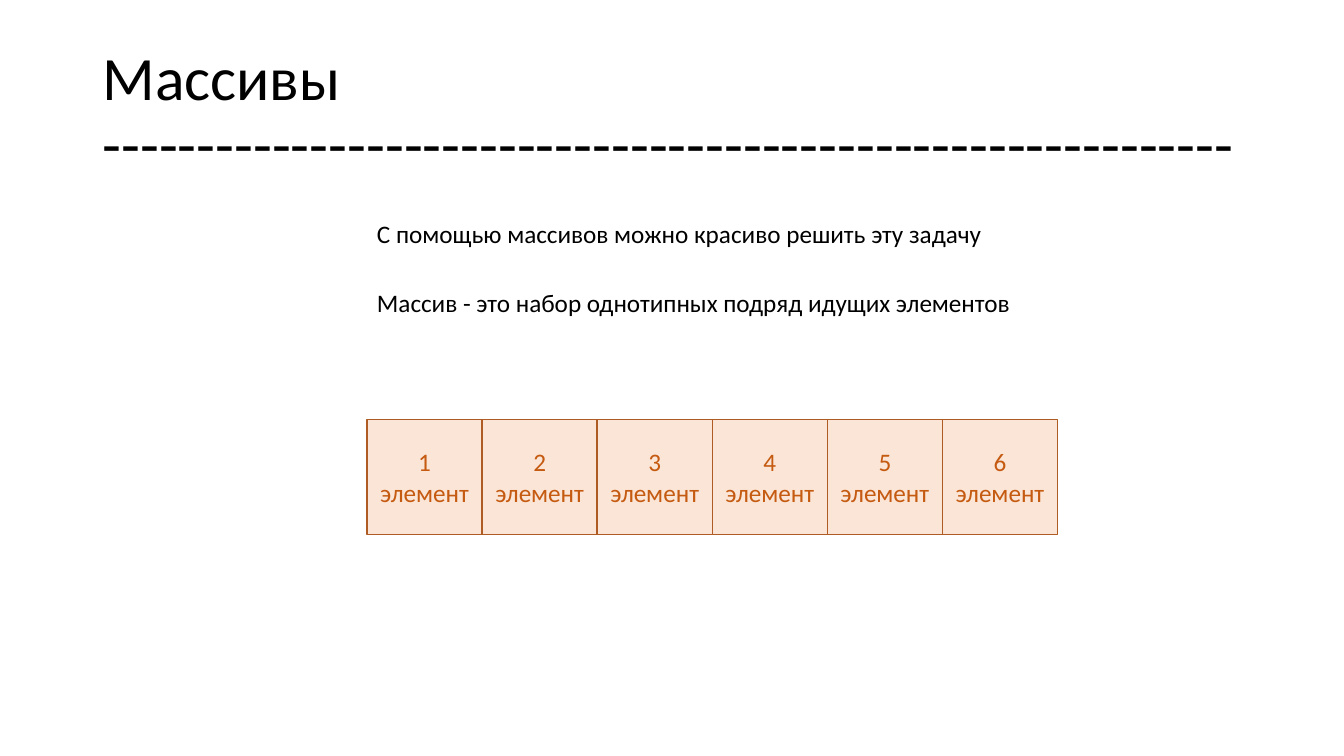
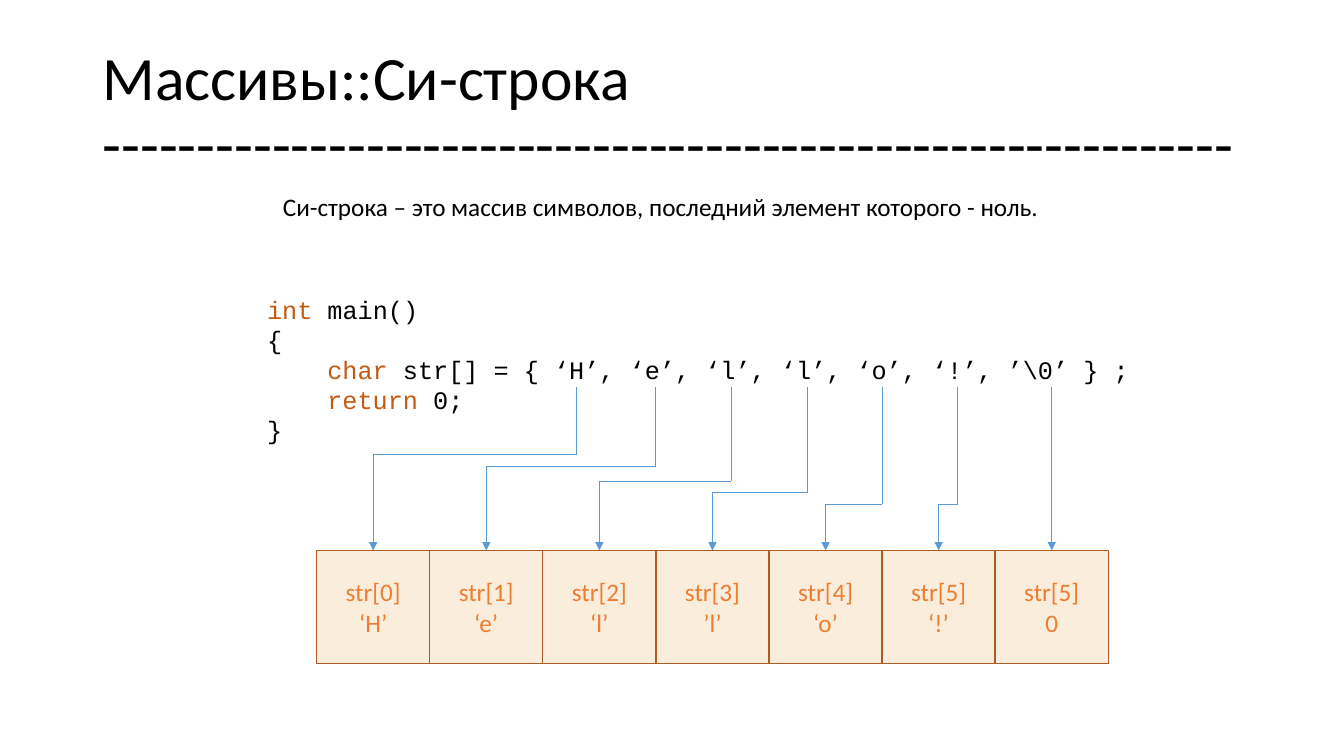
"""Build two slides about arrays and C strings."""
from lxml.etree import SubElement
from pptx import Presentation
from pptx.dml.color import RGBColor
from pptx.enum.shapes import MSO_CONNECTOR, MSO_SHAPE
from pptx.enum.text import MSO_ANCHOR, MSO_AUTO_SIZE, PP_ALIGN
from pptx.oxml.ns import qn
from pptx.util import Cm, Pt

BLACK = RGBColor(0x00, 0x00, 0x00)
KEYWORD = RGBColor(0xC5, 0x5A, 0x11)
ORANGE = RGBColor(0xED, 0x7D, 0x31)
BORDER = RGBColor(0xAF, 0x5C, 0x24)
PEACH = RGBColor(0xFB, 0xE5, 0xD6)
CREAM = RGBColor(0xFB, 0xED, 0xDC)
BLUE = RGBColor(0x5B, 0x9B, 0xD5)
BODY_FONT = "Calibri"
CODE_FONT = "Courier New"
TITLE_RULE = "-" * 60
CODE_INDENT = Cm(1.52)


def add_run(p, text, color=BLACK, size=18, font=BODY_FONT):
    """Append a formatted run to a paragraph."""
    r = p.add_run()
    r.text = text
    r.font.name = font
    r.font.size = Pt(size)
    r.font.color.rgb = color


def next_paragraph(tf, index):
    """Return the first paragraph of a frame, or a new one after it."""
    return tf.add_paragraph() if index else tf.paragraphs[0]


def add_titled_slide(prs, title):
    """Add a title-only slide whose title is underlined with dashes."""
    s = prs.slides.add_slide(prs.slide_layouts[5])
    sp = s.shapes.title
    sp.left, sp.top, sp.width, sp.height = Cm(2.33), Cm(1.02), Cm(29.21), Cm(3.68)
    tf = sp.text_frame
    tf.auto_size = MSO_AUTO_SIZE.NONE
    tf.vertical_anchor = MSO_ANCHOR.MIDDLE
    p = tf.paragraphs[0]
    p.alignment = PP_ALIGN.LEFT
    p.line_spacing = 0.9
    add_run(p, title, size=44)
    p.add_line_break()
    add_run(p, TITLE_RULE, size=44)
    return s


def add_text_frame(s, left, top, width, height):
    """Add a wrapping text box and return its frame."""
    sp = s.shapes.add_textbox(Cm(left), Cm(top), Cm(width), Cm(height))
    sp.text_frame.word_wrap = True
    return sp.text_frame


def add_caption(s, left, top, width, text):
    """Add one line of body text."""
    tf = add_text_frame(s, left, top, width, 1.02)
    add_run(tf.paragraphs[0], text)


def add_code(s, left, top, width, height, lines):
    """Add code lines given as (indent level, keyword, rest)."""
    tf = add_text_frame(s, left, top, width, height)
    for i, (level, keyword, rest) in enumerate(lines):
        p = next_paragraph(tf, i)
        p._p.get_or_add_pPr().set("marL", str(level * CODE_INDENT))
        if keyword:
            add_run(p, keyword, KEYWORD, font=CODE_FONT)
        add_run(p, rest, font=CODE_FONT)


def add_cells(s, left, top, side, cells, fill, color):
    """Add a row of adjoining squares, each with a list of text lines."""
    for i, lines in enumerate(cells):
        sp = s.shapes.add_shape(MSO_SHAPE.RECTANGLE, Cm(left + i * side),
                                Cm(top), Cm(side), Cm(side))
        sp.shadow.inherit = False
        sp.fill.solid()
        sp.fill.fore_color.rgb = fill
        sp.line.color.rgb = BORDER
        sp.line.width = Pt(1)
        tf = sp.text_frame
        tf.word_wrap = True
        tf.vertical_anchor = MSO_ANCHOR.MIDDLE
        for j, text in enumerate(lines):
            p = next_paragraph(tf, j)
            p.alignment = PP_ALIGN.CENTER
            add_run(p, text, color)


def add_line(s, start, end, arrow=False):
    """Add a thin blue line, optionally with an arrowhead at its end."""
    x1, y1, x2, y2 = (Cm(v) for v in (*start, *end))
    c = s.shapes.add_connector(MSO_CONNECTOR.STRAIGHT, x1, y1, x2, y2)
    c.line.color.rgb = BLUE
    c.line.width = Pt(0.5)
    if arrow:
        SubElement(c.line._get_or_add_ln(), qn("a:tailEnd"), type="triangle")
    SubElement(c._element.spPr, qn("a:effectLst"))


def add_bent_arrow(s, start, bend, end):
    """Add an arrow that runs down, sideways at height bend, and down."""
    corners = [start, (start[0], bend), (end[0], bend), end]
    for i in range(3):
        add_line(s, corners[i], corners[i + 1], arrow=i == 2)


def build_arrays(prs):
    """Build the slide that defines an array."""
    s = add_titled_slide(prs, "Массивы")
    add_caption(s, 9.25, 5.38, 15.93,
                "С помощью массивов можно красиво решить эту задачу")
    add_caption(s, 9.25, 7.11, 16.64,
                "Массив - это набор однотипных подряд идущих элементов")
    cells = [[f"{n} элемент"] for n in range(1, 7)]
    add_cells(s, 9.25, 10.57, 2.9, cells, PEACH, KEYWORD)


def build_c_string(prs):
    """Build the slide that maps a C string to array cells."""
    s = add_titled_slide(prs, "Массивы::Си-строка")
    add_caption(s, 6.88, 4.7, 20.12,
                "Си-строка – это массив символов, последний элемент которого - ноль.")
    add_code(s, 6.48, 7.28, 22.61, 4.17, [
        (0, "int ", "main()"),
        (0, "", "{"),
        (1, "char ", "str[] = { ‘H’, ‘e’, ‘l’, ‘l’, ‘o’, ‘!’, ’\\0’ } ;"),
        (1, "return", " 0;"),
        (0, "", "}"),
    ])
    left, top, side = 7.98, 13.87, 2.85
    cells = [["str[0]", "‘H’"], ["str[1]", "‘e’"], ["str[2]", "‘l’"],
             ["str[3]", "’l’"], ["str[4]", "‘o’"], ["str[5]", "‘!’"],
             ["str[5]", "0"]]
    add_cells(s, left, top, side, cells, CREAM, ORANGE)

    code_bottom = 9.75
    centers = [left + (i + 0.5) * side for i in range(len(cells))]
    letters = [14.53, 16.51, 18.42, 20.35, 22.23, 24.13]
    bends = [11.46, 11.76, 12.12, 12.4, 12.7, 12.7]
    for letter, bend, center in zip(letters, bends, centers):
        add_bent_arrow(s, (letter, code_bottom), bend, (center, top))
    add_line(s, (centers[-1], code_bottom), (centers[-1], top), arrow=True)


def main():
    """Build and save the presentation."""
    prs = Presentation()
    prs.slide_width, prs.slide_height = Cm(33.87), Cm(19.05)
    build_arrays(prs)
    build_c_string(prs)
    prs.save("out.pptx")


main()
